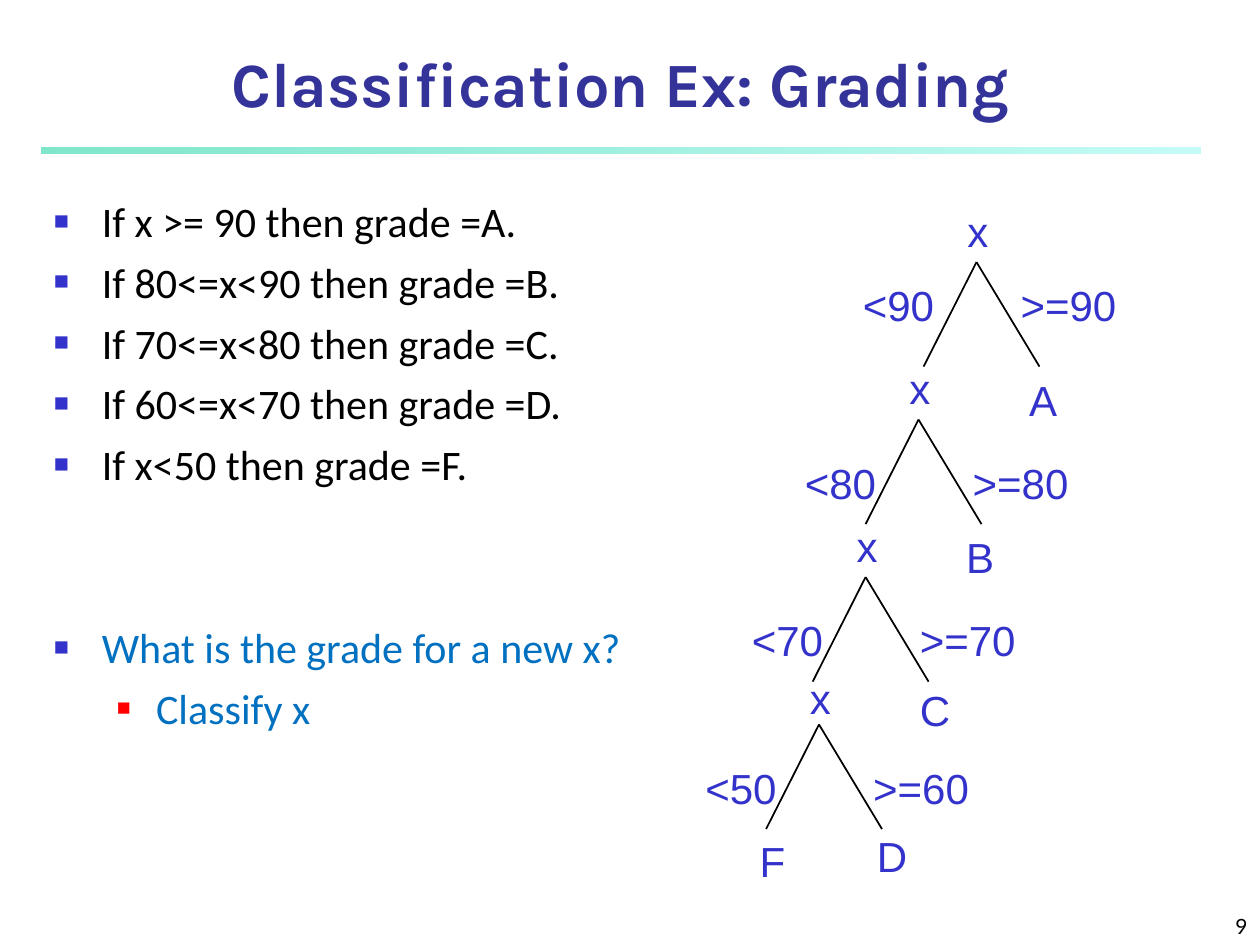
import lxml.etree
import pptx
import pptx.dml.color
import pptx.enum.shapes
import pptx.enum.text
import pptx.oxml.ns
import pptx.util

Inches = pptx.util.Inches
RGBColor = pptx.dml.color.RGBColor
ALIGN = pptx.enum.text.PP_ALIGN
ANCHOR = pptx.enum.text.MSO_ANCHOR
FIT = pptx.enum.text.MSO_AUTO_SIZE
qn = pptx.oxml.ns.qn

BLACK = RGBColor(0x00, 0x00, 0x00)
NAVY = RGBColor(0x33, 0x33, 0x99)
INDIGO = RGBColor(0x33, 0x33, 0xCC)
BLUE = RGBColor(0x00, 0x70, 0xC0)
RED = RGBColor(0xFF, 0x00, 0x00)
GREEN = RGBColor(0x00, 0xCE, 0x98)
AQUA = RGBColor(0x8F, 0xF9, 0xEF)

TITLE = {"name": "Karla", "size": pptx.util.Pt(36), "bold": True}
BODY = {"name": "Calibri", "size": pptx.util.Pt(24)}
NODE = {"name": "Arial", "size": pptx.util.Pt(24)}
NUMBER = {"name": "Lato", "size": pptx.util.Pt(12)}

# Bullet levels: left margin, hanging indent, bullet colour, bullet percent
LEVELS = [(0.38, 0.38, INDIGO, 60), (0.81, 0.31, RED, 55)]
# Rules: text, level, colour, space before in points
RULES = [
    ("If x >= 90 then grade =A.", 0, BLACK, 0),
    ("If 80<=x<90 then grade =B.", 0, BLACK, 6),
    ("If 70<=x<80 then grade =C.", 0, BLACK, 6),
    ("If 60<=x<70 then grade =D.", 0, BLACK, 6),
    ("If x<50 then grade =F.", 0, BLACK, 6),
    ("What is the grade for a new x?", 0, BLUE, 75.5),
    ("Classify x", 1, BLUE, 6),
]

# Splits, from the tree's corner: apex, drop to the tests, rise to the x, left
# test, right test and its shift, and the leaves as (grade, centre x, top)
SPLITS = [
    (2.25, 0.50, 0.09, 0.50, "<90", ">=90", 0.73, [("A", 2.78, 1.34)]),
    (1.79, 1.75, 0.25, 0.50, "<80", ">=80", 0.81, [("B", 2.28, 2.59)]),
    (1.37, 3.00, 0.25, 0.50, "<70", ">=70", 0.81, [("C", 1.92, 3.80)]),
    (1.00, 4.17, 0.25, 0.46, "<50", ">=60", 0.81,
     [("F", 0.63, 5.00), ("D", 1.58, 4.96)]),
]


def write(para, text, form, color, align):
    para.alignment = align
    span = para.add_run()
    span.text = text
    for key, value in form.items():
        setattr(span.font, key, value)
    span.font.color.rgb = color


def add_text(shapes, area, text, form, color, align, anchor=ANCHOR.TOP):
    box = shapes.add_textbox(*map(Inches, area))
    frame = box.text_frame
    frame.word_wrap = True
    frame.vertical_anchor = anchor
    write(frame.paragraphs[0], text, form, color, align)
    return frame


def add_title(page, left, top, width, height):
    add_text(page.shapes, (left, top, width, height), "Classification Ex: Grading",
             TITLE, NAVY, ALIGN.CENTER, ANCHOR.BOTTOM)


def add_bar(page, left, top, width, height):
    bar = page.shapes.add_shape(pptx.enum.shapes.MSO_SHAPE.RECTANGLE,
                                *map(Inches, (left, top, width, height)))
    bar.shadow.inherit = False
    bar.line.fill.background()
    bar.fill.gradient()
    bar.fill.gradient_angle = 0
    for stop, color, position in zip(bar.fill.gradient_stops, (GREEN, AQUA), (0, 1)):
        stop.color.rgb = color
        stop.position = position
    # Opacity of each gradient stop
    for tone, opacity in zip(bar._element.spPr.iter(qn("a:srgbClr")), (50, 52)):
        lxml.etree.SubElement(tone, qn("a:alpha"), val=str(opacity * 1000))


def add_bullet(para, level):
    margin, hang, color, percent = LEVELS[level]
    props = para._p.get_or_add_pPr()
    props.set("marL", str(Inches(margin)))
    props.set("indent", str(-Inches(hang)))
    tone = lxml.etree.SubElement(props, qn("a:buClr"))
    lxml.etree.SubElement(tone, qn("a:srgbClr"), val=str(color))
    lxml.etree.SubElement(props, qn("a:buSzPct"), val=str(percent * 1000))
    lxml.etree.SubElement(props, qn("a:buFont"), typeface="Arial")
    lxml.etree.SubElement(props, qn("a:buChar"), char="■")


def add_rules(page, left, top, width, height):
    box = page.shapes.add_textbox(*map(Inches, (left, top, width, height)))
    frame = box.text_frame
    frame.word_wrap = True
    for index, (text, level, color, space) in enumerate(RULES):
        para = frame.add_paragraph() if index else frame.paragraphs[0]
        para.level = level
        add_bullet(para, level)
        para.space_before = pptx.util.Pt(space)
        write(para, text, BODY, color, ALIGN.LEFT)


def add_branch(shapes, x, y, across, down):
    branch = shapes.add_connector(pptx.enum.shapes.MSO_CONNECTOR.STRAIGHT,
                                  *map(Inches, (x, y, x + across, y + down)))
    branch.line.color.rgb = BLACK
    branch.line.width = pptx.util.Pt(1)
    lxml.etree.SubElement(branch._element.spPr, qn("a:effectLst"))


def add_label(shapes, text, center, top, width):
    frame = add_text(shapes, (center - width / 2, top, width, 0.5), text,
                     NODE, INDIGO, ALIGN.CENTER)
    frame.word_wrap = False
    frame.auto_size = FIT.SHAPE_TO_FIT_TEXT


def add_tree(page, left, top):
    for apex_x, apex_y, drop, rise, less, more, shift, leaves in SPLITS:
        shapes = page.shapes.add_group_shape().shapes
        x, y = left + apex_x, top + apex_y
        for across in (-0.42, 0.5):
            add_branch(shapes, x, y, across, 0.83)
        # Node and the tests on its two branches
        add_label(shapes, "x", x + 0.01, y - rise, 0.36)
        add_label(shapes, less, x - 0.62, y + drop, 0.78)
        add_label(shapes, more, x + shift, y + drop, 0.98)
        # Grades reached from this node
        for grade, center, leaf_top in leaves:
            add_label(shapes, grade, left + center, top + leaf_top, 0.44)


def add_number(page, left, top, width, height):
    add_text(page.shapes, (left, top, width, height), "9",
             NUMBER, BLACK, ALIGN.RIGHT, ANCHOR.BOTTOM)


def main():
    deck = pptx.Presentation()
    deck.slide_width, deck.slide_height = Inches(10), Inches(7.5)
    page = deck.slides.add_slide(deck.slide_layouts[6])
    add_bar(page, 0.33, 1.17, 9.2, 0.05)
    add_number(page, 7.92, 7.08, 2.08, 0.42)
    add_title(page, 0.33, 0.33, 9.19, 0.67)
    add_rules(page, 0.33, 1.5, 4.99, 5.58)
    add_tree(page, 5.5, 1.58)
    deck.save("out.pptx")


if __name__ == "__main__":
    main()
